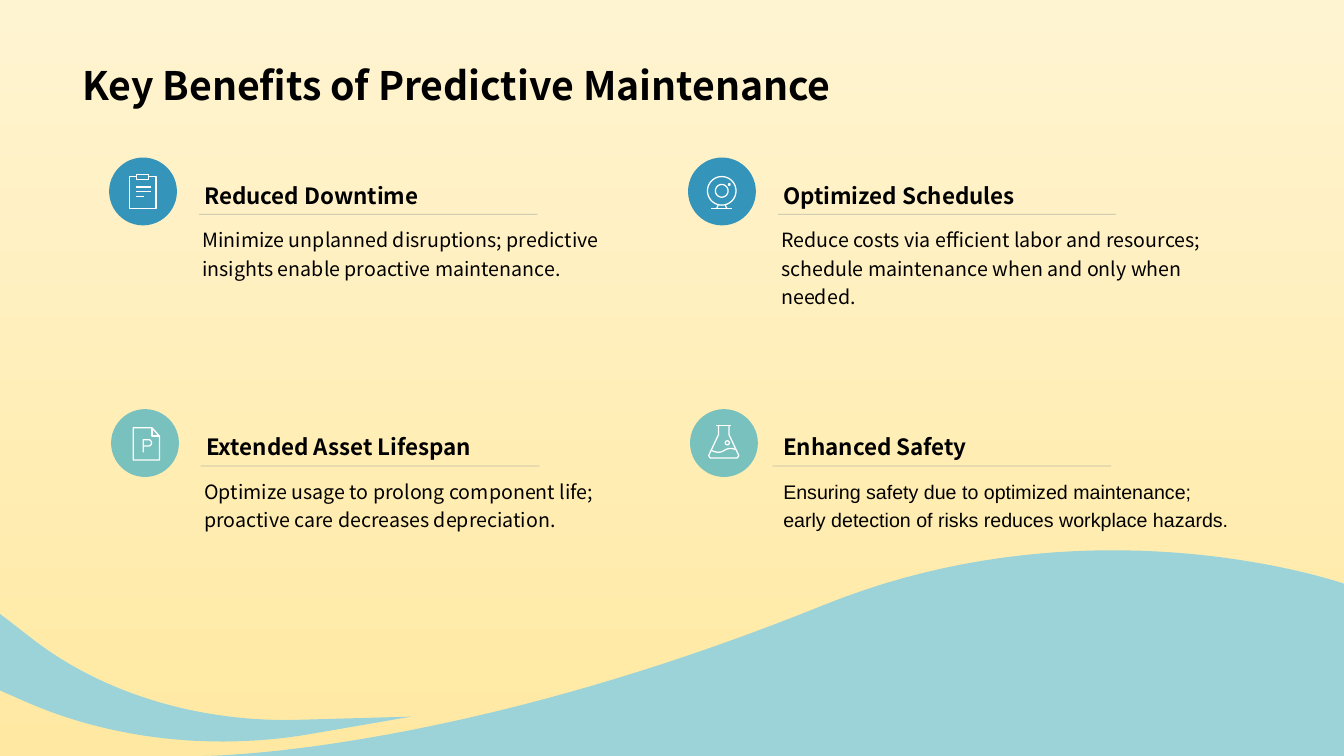
from dataclasses import dataclass
from math import cos, pi, sin

from lxml.etree import SubElement
from pptx import Presentation
from pptx.dml.color import RGBColor as RGB
from pptx.enum.shapes import MSO_CONNECTOR as LINE, MSO_SHAPE as SHAPE
from pptx.enum.text import MSO_ANCHOR as ANCHOR, MSO_AUTO_SIZE as FIT, PP_ALIGN as ALIGN
from pptx.oxml.ns import qn
from pptx.util import Cm, Pt


@dataclass(frozen=True)
class Theme:
    sand: str = "FFE9A2"
    cream: str = "FFF4D1"
    wave: str = "9BD3D9"
    blue: str = "3494BA"
    teal: str = "58B6C0"
    rule: str = "778495"
    ink: str = "000000"
    white: str = "FFFFFF"
    font: str = "Noto Sans CJK SC"
    plain_font: str = "Arial"
    title: int = 28
    header: int = 16
    body: int = 14


@dataclass(frozen=True)
class Card:
    header: str
    body: str
    icon: list
    font: str
    header_shift: float = 0
    rule_shift: float = 0


def curve(p0, p1, p2, p3, steps=40):
    """Points along a cubic Bezier curve."""
    ts = [i / steps for i in range(steps + 1)]
    return [tuple((1 - t) ** 3 * a + 3 * t * (1 - t) ** 2 * b
                  + 3 * t * t * (1 - t) * c + t ** 3 * d
                  for a, b, c, d in zip(p0, p1, p2, p3)) for t in ts]


def arc(cx, cy, radius, start=0, sweep=2 * pi, steps=36):
    """Points along a circular arc."""
    angles = [start + sweep * i / steps for i in range(steps + 1)]
    return [(cx + radius * cos(a), cy + radius * sin(a)) for a in angles]


class Deck:
    """Holds the theme and the current slide."""

    def __init__(self, prs, theme):
        self.theme = theme
        self.slide = prs.slides.add_slide(prs.slide_layouts[6])
        self.shapes = self.slide.shapes

    def background(self, bottom, top):
        fill = self.slide.background.fill
        fill.gradient()
        fill.gradient_angle = 90
        for stop, color in zip(fill.gradient_stops, (bottom, top)):
            stop.color.rgb = RGB.from_string(color)

    def set_alpha(self, sp, percent):
        for color in sp.element.spPr.iter(qn("a:srgbClr")):
            SubElement(color, qn("a:alpha")).set("val", str(percent * 1000))

    def paint(self, sp, fill=None, alpha=100):
        sp.shadow.inherit = False
        sp.line.fill.background()
        if fill is None:
            sp.fill.background()
        else:
            sp.fill.solid()
            sp.fill.fore_color.rgb = RGB.from_string(fill)
            if alpha < 100:
                self.set_alpha(sp, alpha)
        return sp

    def shape(self, kind, x, y, w, h, fill=None, alpha=100):
        sp = self.shapes.add_shape(kind, Cm(x), Cm(y), Cm(w), Cm(h))
        return self.paint(sp, fill, alpha)

    def textbox(self, x, y, w, h):
        return self.shapes.add_textbox(Cm(x), Cm(y), Cm(w), Cm(h))

    def set_text(self, sp, text, size, font=None, bold=False,
                 anchor=ANCHOR.TOP, spacing=None, grow=True):
        tf = sp.text_frame
        tf.word_wrap = True
        tf.auto_size = FIT.SHAPE_TO_FIT_TEXT if grow else FIT.NONE
        tf.vertical_anchor = anchor
        p = tf.paragraphs[0]
        p.text = text
        p.alignment = ALIGN.LEFT
        p.line_spacing = spacing
        p.font.name = font or self.theme.font
        p.font.size = Pt(size)
        p.font.bold = bold
        p.font.color.rgb = RGB.from_string(self.theme.ink)

    def rule(self, x, y, length):
        cx = self.shapes.add_connector(LINE.STRAIGHT, Cm(x), Cm(y), Cm(x + length), Cm(y))
        cx.line.width = Pt(0.5)
        cx.line.color.rgb = RGB.from_string(self.theme.rule)
        self.set_alpha(cx, 50)
        SubElement(cx.element.spPr, qn("a:effectLst"))

    def freeform(self, strokes, x=0, y=0, close=False):
        builder = None
        for stroke in strokes:
            points = [(Cm(x + px), Cm(y + py)) for px, py in stroke]
            if builder is None:
                builder = self.shapes.build_freeform(*points[0], scale=1.0)
            else:
                builder.move_to(*points[0])
            builder.add_line_segments(points[1:], close=close)
        return self.paint(builder.convert_to_shape())

    def outline(self, points, fill):
        self.paint(self.freeform([points], close=True), fill)

    def icon(self, strokes, cx, cy):
        sp = self.freeform(strokes, cx, cy)
        sp.line.width = Pt(0.9)
        sp.line.color.rgb = RGB.from_string(self.theme.white)


# Icon strokes, in cm from the centre of the badge
CLIPBOARD = [
    [(-.15, -.37), (-.33, -.37), (-.33, .43), (.33, .43), (.33, -.37), (.15, -.37)],
    [(-.15, -.43), (.15, -.43), (.15, -.3), (-.15, -.3), (-.15, -.43)],
    *[[(-.18, y), (end, y)] for y, end in ((-.11, .2), (.01, .2), (.14, .03))],
]
CAMERA = [
    arc(0, -.01, .36), arc(0, -.01, .16), arc(.19, -.17, .02),
    [(-.26, .44), (.26, .44)],
    *[[(side * .09, .35), (side * .13, .44)] for side in (-1, 1)],
]
PAGE = [
    [(.18, -.38), (-.29, -.38), (-.29, .43), (.37, .43), (.37, -.17), (.18, -.38)],
    [(.18, -.38), (.18, -.17), (.37, -.17)],
    [(-.04, .24), (-.04, -.08), *arc(.09, 0, .08, -pi / 2, pi), (-.04, .08)],
]
FLASK = [
    [(-.19, -.43), (.19, -.43)],
    [(-.13, -.43), (-.13, -.21), (-.38, .32), (-.34, .38),
     (.34, .38), (.38, .32), (.13, -.21), (.13, -.43)],
    curve((-.31, .19), (-.19, .25), (-.09, .25), (0, .2))
    + curve((0, .2), (.08, .14), (.2, .12), (.29, .17)),
    arc(.09, 0, .05),
]


def main():
    theme = Theme()
    prs = Presentation()
    prs.slide_width, prs.slide_height = Cm(33.87), Cm(19.05)
    deck = Deck(prs, theme)

    # Background and waves
    deck.background(theme.sand, theme.cream)
    deck.outline(curve((20.78, 15.24), (27.58, 12.5), (33.87, 14.71), (33.87, 14.71))
                 + [(33.87, 19.05)]
                 + curve((5.11, 19.05), (5.11, 19.05), (11.35, 19.05), (20.78, 15.24)),
                 theme.wave)
    deck.outline([(0, 15.47)]
                 + curve((.79, 16.08), (2.54, 17.45), (4.98, 18.21), (7.52, 18.14))
                 + [(10.36, 18.06)]
                 + curve((7.87, 18.49), (5.41, 18.92), (2.82, 18.64), (.64, 17.68))
                 + [(0, 17.4)], theme.wave)

    # Title
    deck.set_text(deck.textbox(1.83, .36, 30.18, 2.49), "Key Benefits of Predictive Maintenance",
                  theme.title, bold=True, anchor=ANCHOR.BOTTOM, grow=False)

    # Benefit cards, two by two
    cards = [
        Card("Reduced Downtime", "Minimize unplanned disruptions; predictive insights "
             "enable proactive maintenance.", CLIPBOARD, theme.font),
        Card("Optimized Schedules", "Reduce costs via efficient labor and resources; "
             "schedule maintenance when and only when needed.", CAMERA, theme.font),
        Card("Extended Asset Lifespan", "Optimize usage to prolong component life; "
             "proactive care decreases depreciation.", PAGE, theme.font),
        Card("Enhanced Safety", "Ensuring safety due to optimized maintenance; early "
             "detection of risks reduces workplace hazards.", FLASK, theme.plain_font, -.05, -.18),
    ]
    badges = ((theme.blue, 100), (theme.teal, 80))
    for i, card in enumerate(cards):
        row, col = divmod(i, 2)
        x, y = 2.75 + 14.59 * col + .05 * row, 3.97 + 6.34 * row
        deck.rule(x + 2.26 + card.rule_shift, y + 1.43, 8.53)
        header = deck.shape(SHAPE.ROUNDED_RECTANGLE, x + 2.15 + card.header_shift, y + .47, 11.76, .94)
        header.adjustments[0] = 0
        deck.set_text(header, card.header, theme.header, bold=True, anchor=ANCHOR.BOTTOM)
        deck.shape(SHAPE.OVAL, x, y, 1.71, 1.71, *badges[row])
        deck.icon(card.icon, x + .85, y + .85)
        deck.set_text(deck.textbox(x + 2.1, y + 1.54, 11.76, 1.07), card.body,
                      theme.body, card.font, spacing=1.2)

    prs.save("out.pptx")


if __name__ == "__main__":
    main()
